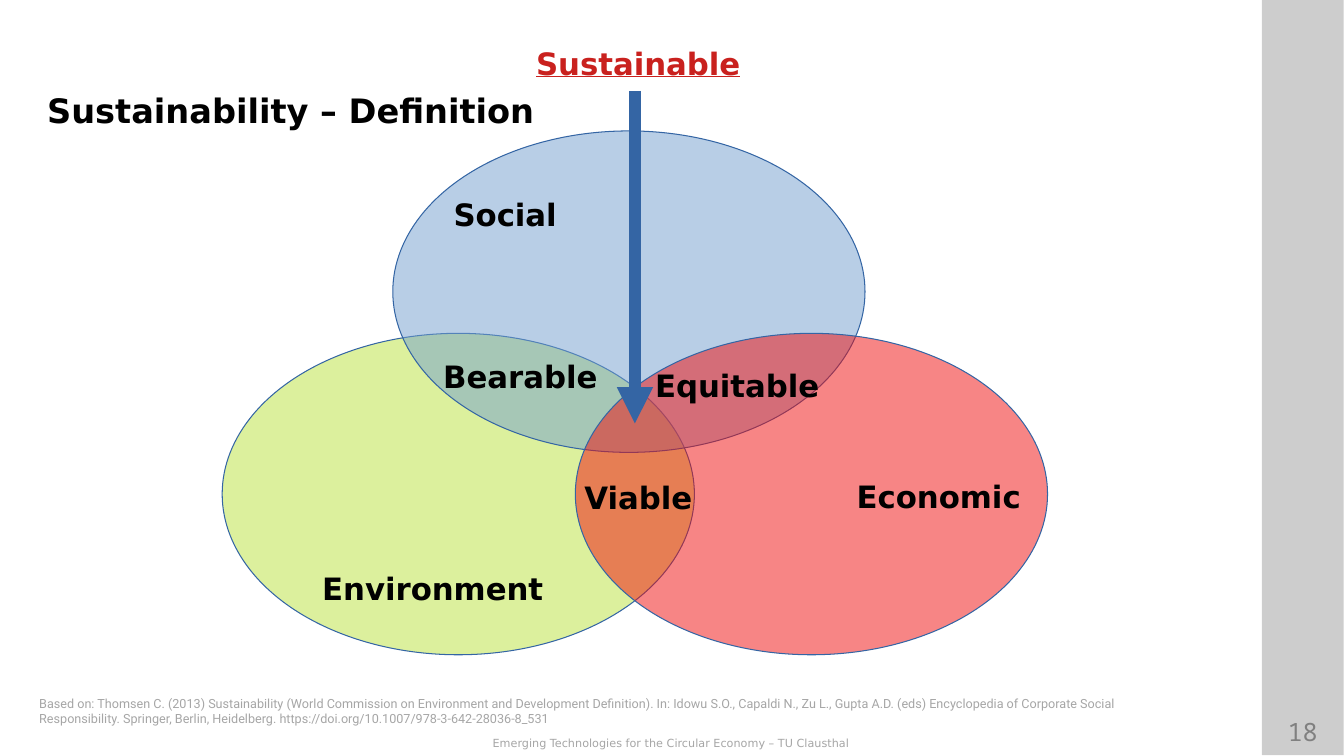
from lxml.etree import SubElement
from pptx import Presentation
from pptx.dml.color import RGBColor
from pptx.enum.shapes import MSO_CONNECTOR, MSO_SHAPE
from pptx.enum.text import PP_ALIGN
from pptx.oxml.ns import qn
from pptx.util import Cm, Pt

BLACK = RGBColor(0x00, 0x00, 0x00)
NUMBER_GREY = RGBColor(0x80, 0x80, 0x80)
NOTE_GREY = RGBColor(0xA6, 0xA6, 0xA6)
GREEN = RGBColor(0xBB, 0xE3, 0x3D)
LIGHT_BLUE = RGBColor(0x72, 0x9F, 0xCF)
RED = RGBColor(0xF1, 0x0D, 0x0C)
DARK_RED = RGBColor(0xC9, 0x21, 0x1E)
BLUE = RGBColor(0x34, 0x65, 0xA4)

presentation = Presentation()
presentation.slide_width = Cm(33.87)
presentation.slide_height = Cm(19.05)
slide = presentation.slides.add_slide(presentation.slide_layouts[6])


def add_area(preset, left, top, width, height, color, opacity):
    area = slide.shapes.add_shape(preset, Cm(left), Cm(top), Cm(width), Cm(height))
    area.shadow.inherit = False
    area.fill.solid()
    area.fill.fore_color.rgb = color
    tint = area.fill._xPr.find(qn("a:solidFill"))[0]
    SubElement(tint, qn("a:alpha"), val=str(opacity * 1000))
    return area


def add_text(text, left, top, width, height, font_format, align=PP_ALIGN.LEFT):
    frame = slide.shapes.add_textbox(Cm(left), Cm(top), Cm(width), Cm(height)).text_frame
    frame.word_wrap = True
    paragraph = frame.paragraphs[0]
    paragraph.text = text
    paragraph.alignment = align
    font = paragraph.runs[0].font
    for attribute, value in font_format.items():
        if attribute == "color":
            font.color.rgb = value
        else:
            setattr(font, attribute, value)


for layer in range(2):
    sidebar = add_area(MSO_SHAPE.RECTANGLE, 31.8, 0, 2.06, 19.03, BLACK, 10)
    sidebar.line.fill.background()

number_format = {"name": "Noto Sans Mono", "size": Pt(18), "color": NUMBER_GREY}
footer_format = {"name": "DejaVu Sans", "size": Pt(8), "color": NOTE_GREY}
citation_format = {"name": "Roboto", "size": Pt(9), "color": NOTE_GREY}
title_format = {"name": "DejaVu Sans", "size": Pt(24), "color": BLACK, "bold": True}
label_format = title_format | {"size": Pt(22)}
goal_format = label_format | {"color": DARK_RED, "underline": True}

add_text("18", 31.78, 17.93, 2.1, 1.12, number_format, PP_ALIGN.CENTER)
add_text("Emerging Technologies for the Circular Economy – TU Clausthal",
         0, 18.44, 33.83, 0.58, footer_format, PP_ALIGN.CENTER)
add_text("Sustainability – Definition", 0.94, 2.13, 29.85, 1.37, title_format)
add_text("Based on: Thomsen C. (2013) Sustainability (World Commission on Environment and "
         "Development Definition). In: Idowu S.O., Capaldi N., Zu L., Gupta A.D. (eds) "
         "Encyclopedia of Corporate Social Responsibility. Springer, Berlin, Heidelberg. "
         "https://doi.org/10.1007/978-3-642-28036-8_531",
         0.74, 17.4, 29.08, 1.02, citation_format)

for left, top, color in [(5.6, 8.4, GREEN), (9.9, 3.3, LIGHT_BLUE), (14.5, 8.4, RED)]:
    dimension = add_area(MSO_SHAPE.OVAL, left, top, 11.9, 8.1, color, 50)
    dimension.line.color.rgb = BLUE
    dimension.line.width = Pt(0)

for label, left, top, width, font_format in [
    ("Social", 11.18, 4.8, 3.28, label_format),
    ("Sustainable", 13.26, 0.99, 6.02, goal_format),
    ("Economic", 21.34, 11.92, 6.32, label_format),
    ("Environment", 7.87, 14.22, 6.32, label_format),
    ("Viable", 14.48, 11.94, 6.32, label_format),
    ("Bearable", 10.92, 8.89, 6.32, label_format),
    ("Equitable", 16.26, 9.12, 6.32, label_format),
]:
    add_text(label, left, top, width, 2.03, font_format)

goal_arrow = slide.shapes.add_connector(
    MSO_CONNECTOR.STRAIGHT, Cm(16), Cm(2.29), Cm(16), Cm(10.67))
goal_arrow.line.color.rgb = BLUE
goal_arrow.line.width = Pt(8.65)
SubElement(goal_arrow.line._get_or_add_ln(), qn("a:tailEnd"), type="triangle")
SubElement(goal_arrow._element.spPr, qn("a:effectLst"))

presentation.save("out.pptx")
